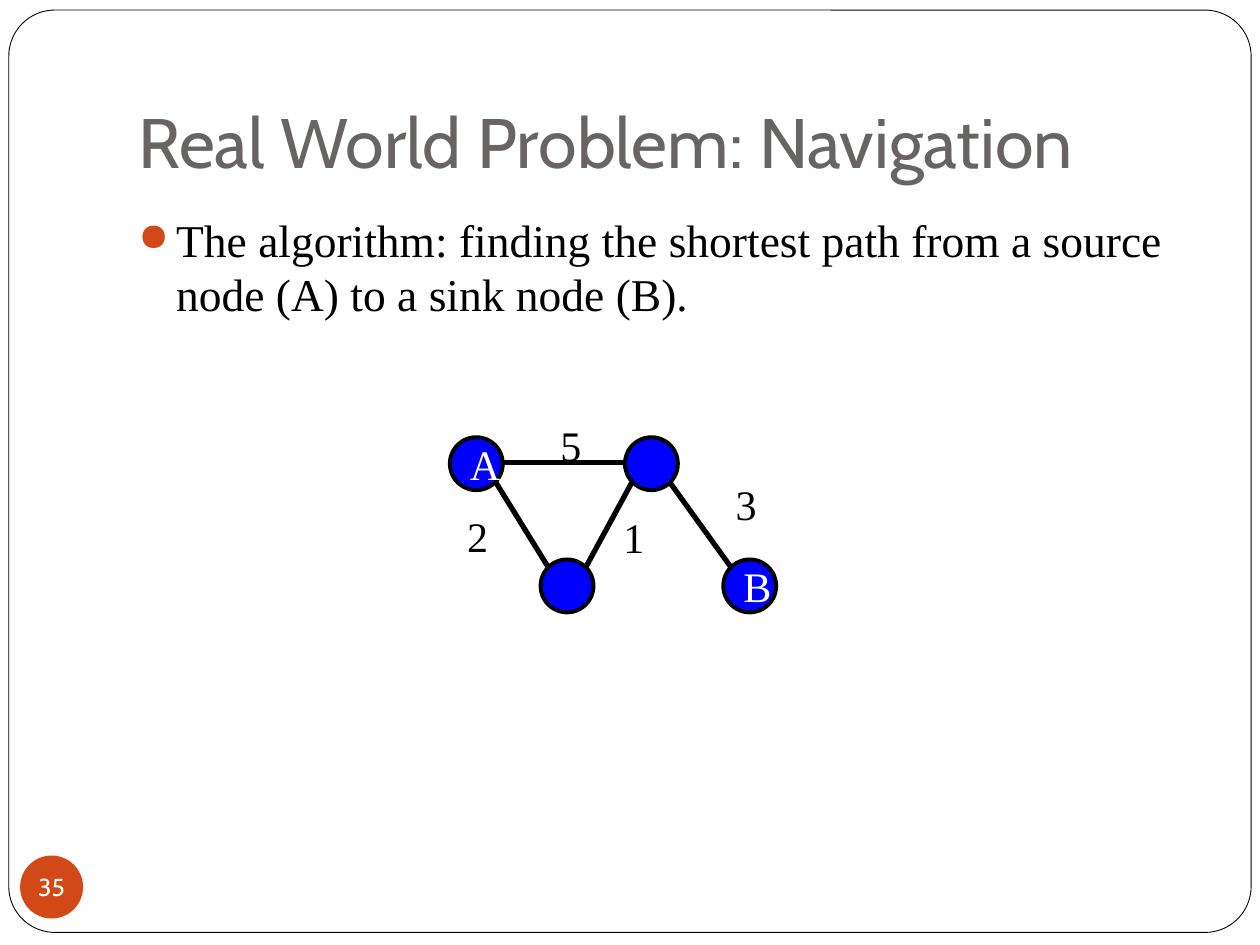
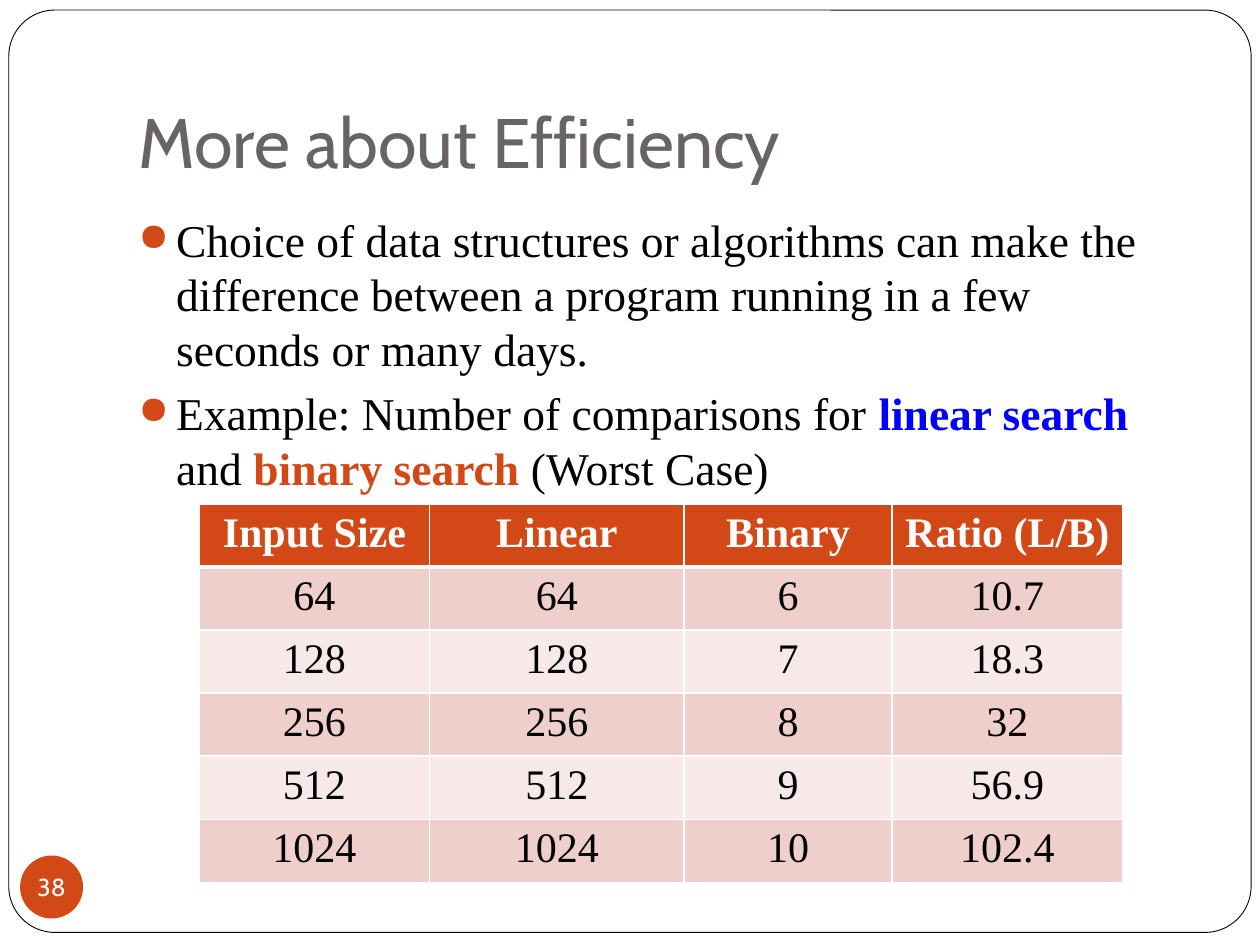
from dataclasses import dataclass
from lxml.etree import SubElement
from pptx import Presentation
from pptx.dml.color import RGBColor
from pptx.enum.shapes import MSO_CONNECTOR, MSO_SHAPE
from pptx.enum.text import MSO_ANCHOR, PP_ALIGN
from pptx.oxml.ns import qn
from pptx.util import Inches, Pt


@dataclass(frozen=True)
class Theme:
    ink: str = "000000"
    paper: str = "FFFFFF"
    grey: str = "696464"
    rust: str = "D34817"
    blue: str = "0000FF"
    bands: tuple = ("F7E9E8", "EFCFCC")
    sans: str = "Cabin"
    serif: str = "Times New Roman"
    title: int = 40
    body: int = 26
    label: int = 24
    badge: int = 14


theme = Theme()
deck = Presentation()
deck.slide_width, deck.slide_height = Inches(10), Inches(7.5)
col = deck.slide_width / 100
row = deck.slide_height / 75


def write(para, text, size, color, font=theme.serif, bold=False):
    run = para.add_run()
    run.text = text
    run.font.size = Pt(size)
    run.font.name = font
    run.font.bold = bold
    run.font.color.rgb = RGBColor.from_string(color)


def draw(slide, kind, left, top, wide, high, fill, edge=0):
    shape = slide.shapes.add_shape(
        kind, int(left * col), int(top * row), int(wide * col), int(high * row))
    shape.shadow.inherit = False
    shape.fill.solid()
    shape.fill.fore_color.rgb = RGBColor.from_string(fill)
    if edge:
        shape.line.color.rgb = RGBColor.from_string(theme.ink)
        shape.line.width = Pt(edge)
    else:
        shape.line.fill.background()
    return shape


plain = (theme.ink, False)
pages = [
    ("Real World Problem: Navigation", "35", [
        [("The algorithm: finding the shortest path from a source node (A) to a sink node (B).", *plain)],
    ]),
    ("More about Efficiency", "38", [
        [("Choice of data structures or algorithms can make the difference between "
          "a program running in a few seconds or many days.", *plain)],
        [("Example: Number of comparisons for ", *plain),
         ("linear search", theme.blue, True),
         (" and ", *plain),
         ("binary search ", theme.rust, True),
         ("(Worst Case)", *plain)],
    ]),
]

slides = []
for title, number, points in pages:
    slide = deck.slides.add_slide(deck.slide_layouts[6])
    slides.append(slide)
    frame = draw(slide, MSO_SHAPE.ROUNDED_RECTANGLE, 0.7, 0.8, 98.6, 73.2, theme.paper, 0.5)
    frame.adjustments[0] = 0.05

    head = slide.shapes.add_textbox(int(10 * col), int(3 * row), int(85 * col), int(12.5 * row)).text_frame
    head.word_wrap = True
    head.vertical_anchor = MSO_ANCHOR.BOTTOM
    head.margin_bottom = Inches(0.1)
    write(head.paragraphs[0], title, theme.title, theme.grey, theme.sans)

    badge = draw(slide, MSO_SHAPE.OVAL, 1.6, 67.9, 5, 5, theme.rust).text_frame
    badge.margin_left = badge.margin_right = badge.margin_top = badge.margin_bottom = 0
    badge.word_wrap = False
    badge.paragraphs[0].alignment = PP_ALIGN.CENTER
    write(badge.paragraphs[0], number, theme.badge, theme.paper, theme.sans)

    body = slide.shapes.add_textbox(int(10 * col), int(16.3 * row), int(85 * col), int(50 * row)).text_frame
    body.word_wrap = True
    for rank, point in enumerate(points):
        para = body.add_paragraph() if rank else body.paragraphs[0]
        props = para._p.get_or_add_pPr()
        props.set("marL", str(Inches(0.3)))
        props.set("indent", str(-Inches(0.3)))
        tint = SubElement(props, qn("a:buClr"))
        SubElement(tint, qn("a:srgbClr")).set("val", theme.rust)
        SubElement(props, qn("a:buSzPct")).set("val", "85000")
        SubElement(props, qn("a:buChar")).set("char", "●")
        if rank:
            para.space_before = Pt(5.8)
        for text, color, bold in point:
            write(para, text, theme.body, color, bold=bold)

graph, chart = slides

for left, top, name in [(35.7, 34.7, "A"), (49.6, 34.7, ""), (42.9, 44.4, ""), (57.4, 44.4, "B")]:
    node = draw(graph, MSO_SHAPE.OVAL, left, top, 4.2, 4.2, theme.blue, 2.25)
    if name:
        para = node.text_frame.paragraphs[0]
        para.alignment = PP_ALIGN.CENTER
        write(para, name, theme.label, theme.paper)

edges = [
    (39.9, 36.7, 49.6, 36.7, "5", 43.5, 32.8),
    (39.3, 38.2, 43.5, 45, "2", 36.1, 40),
    (50.2, 38.2, 46.5, 45, "1", 48.5, 40.1),
    (53.1, 38.2, 58, 45, "3", 57.4, 37.5),
]
for x1, y1, x2, y2, cost, left, top in edges:
    edge = graph.shapes.add_connector(
        MSO_CONNECTOR.STRAIGHT, int(x1 * col), int(y1 * row), int(x2 * col), int(y2 * row))
    edge.line.color.rgb = RGBColor.from_string(theme.ink)
    edge.line.width = Pt(3)
    SubElement(edge._element.spPr, qn("a:effectLst"))
    label = graph.shapes.add_textbox(int(left * col), int(top * row), int(3.6 * col), int(5 * row)).text_frame
    label.word_wrap = False
    write(label.paragraphs[0], cost, theme.label, theme.ink)

data = [
    ("Input Size", "Linear", "Binary", "Ratio (L/B)"),
    ("64", "64", "6", "10.7"),
    ("128", "128", "7", "18.3"),
    ("256", "256", "8", "32"),
    ("512", "512", "9", "56.9"),
    ("1024", "1024", "10", "102.4"),
]
widths = (18.3, 20.2, 16.5, 18.3)
step = 4.7
table = chart.shapes.add_table(
    len(data), len(widths), int(15.8 * col), int(40 * row),
    int(sum(widths) * col), int(len(data) * step * row)).table
for x, wide in enumerate(widths):
    table.columns[x].width = int(wide * col)
for y, line in enumerate(data):
    table.rows[y].height = int(step * row)
    for x, text in enumerate(line):
        cell = table.cell(y, x)
        para = cell.text_frame.paragraphs[0]
        para.alignment = PP_ALIGN.CENTER
        write(para, text, theme.label, theme.ink if y else theme.paper, bold=y == 0)
        props = cell._tc.get_or_add_tcPr()
        for side in ("lnL", "lnR", "lnT", "lnB"):
            thick = 3 if (y, side) in ((0, "lnB"), (1, "lnT")) else 1
            rule = SubElement(props, qn("a:" + side), w=str(Pt(thick)))
            paint = SubElement(rule, qn("a:solidFill"))
            SubElement(paint, qn("a:srgbClr")).set("val", theme.paper)
        cell.fill.solid()
        cell.fill.fore_color.rgb = RGBColor.from_string(theme.bands[y % 2] if y else theme.rust)

deck.save("out.pptx")
